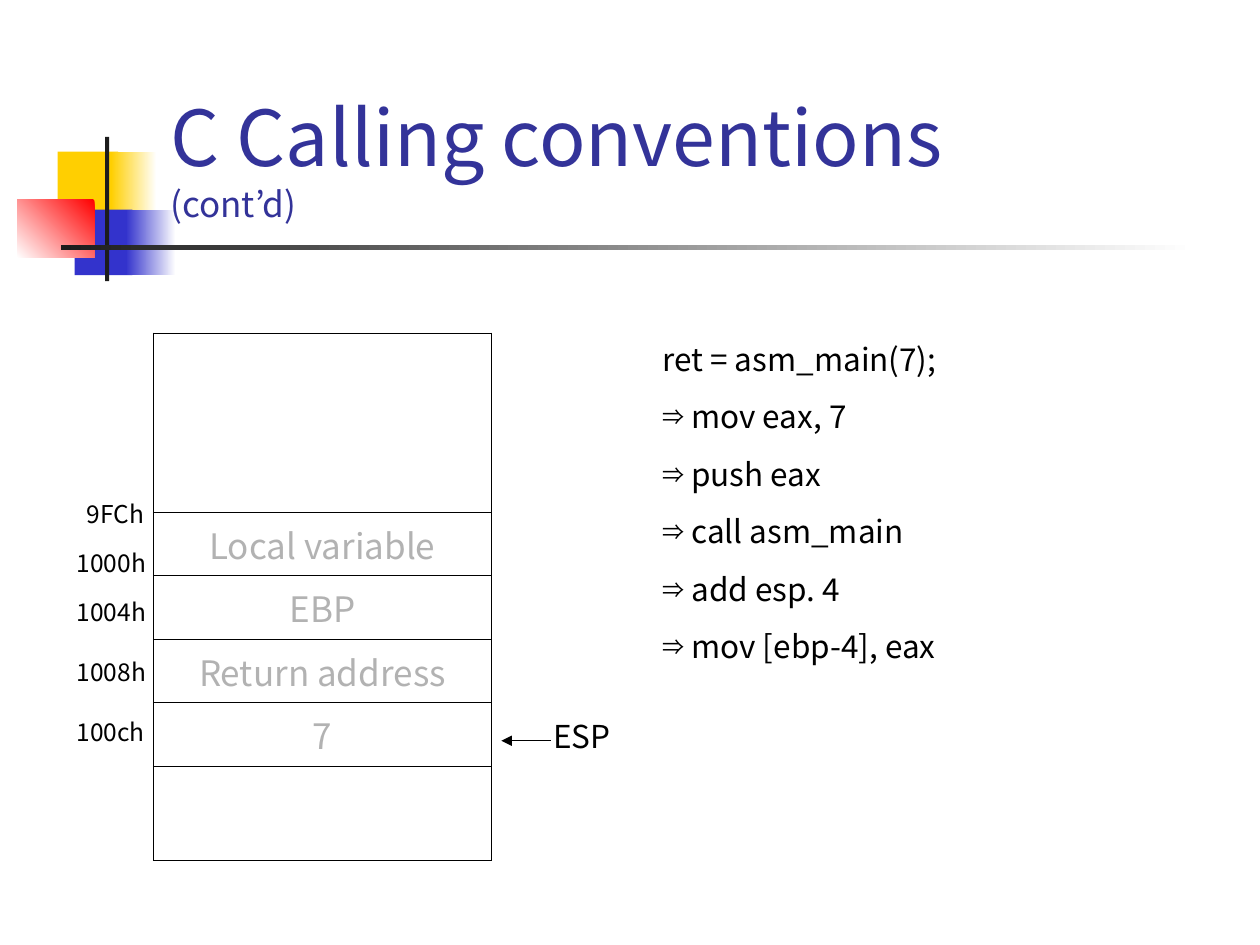
from dataclasses import dataclass
from typing import Optional

from lxml.etree import SubElement
from pptx import Presentation
from pptx.dml.color import RGBColor
from pptx.enum.shapes import MSO_CONNECTOR as Connector, MSO_SHAPE as Shape
from pptx.enum.text import MSO_ANCHOR as Anchor, MSO_AUTO_SIZE as AutoSize, PP_ALIGN as Align
from pptx.oxml.ns import qn
from pptx.util import Pt


@dataclass(frozen=True)
class Theme:
    font: str = "Noto Sans CJK KR"
    title: str = "333399"
    ink: str = "000000"
    muted: str = "B2B2B2"
    white: str = "FFFFFF"
    yellow: str = "FFCF01"
    blue: str = "3333CC"
    red: str = "FF0000"
    charcoal: str = "1C1C1C"
    title_size: float = 44
    cell_size: float = 20
    code_size: float = 18
    address_size: float = 14


@dataclass(frozen=True)
class Block:
    left: float
    top: float
    width: float
    height: float
    color: str
    end_color: Optional[str] = None
    angle: float = 180


@dataclass(frozen=True)
class Label:
    text: str
    left: float
    top: float
    width: float
    height: float
    size: float


@dataclass(frozen=True)
class StackRow:
    text: str
    height: float


THEME = Theme()
BLOCKS = [
    Block(33, 86.6, 34.5, 37.5, THEME.yellow),
    Block(63.5, 86.6, 26, 37.5, THEME.white, THEME.yellow),
    Block(42.7, 119.8, 33, 37.5, THEME.blue),
    Block(72, 119.8, 28.5, 37.5, THEME.white, THEME.blue),
    Block(9.8, 114, 44.2, 33.3, THEME.red, THEME.white, 225),
    Block(60, 78.2, 2.4, 82.5, THEME.charcoal),
    Block(34.8, 140.2, 648, 2.5, THEME.white, THEME.charcoal),
]
STACK = [
    StackRow("", 102.2),
    StackRow("Local variable", 36.1),
    StackRow("EBP", 36.1),
    StackRow("Return address", 36.1),
    StackRow("7", 36.1),
    StackRow("", 54),
]
ADDRESSES = [
    Label(text, left, top, 67.7, 24.5, THEME.address_size)
    for text, left, top in [
        ("100ch", 36.7, 406.1),
        ("1008h", 36.7, 372.2),
        ("1004h", 36.7, 337.7),
        ("1000h", 36.7, 309.6),
        ("9FCh", 42.5, 281.5),
    ]
]
POINTER = Label("ESP", 309, 406.1, 57, 28.8, THEME.code_size)
CALL = Label("ret = asm_main(7);", 371.5, 190.8, 266.4, 193, THEME.code_size)
INSTRUCTIONS = ["mov eax, 7", "push eax", "call asm_main", "add esp. 4", "mov [ebp-4], eax"]


def add_run(paragraph, text: str, size: float, color: str) -> None:
    run = paragraph.add_run()
    run.text = text
    run.font.name = THEME.font
    run.font.size = Pt(size)
    run.font.color.rgb = RGBColor.from_string(color)


def add_title(slide) -> None:
    title = slide.shapes.title
    slide.shapes._spTree.append(title._element)
    title.left, title.top, title.width, title.height = Pt(90.2), Pt(16.6), Pt(613.4), Pt(115.2)
    frame = title.text_frame
    frame.word_wrap = True
    frame.auto_size = AutoSize.NONE
    frame.vertical_anchor = Anchor.BOTTOM
    paragraph = frame.paragraphs[0]
    paragraph.alignment = Align.LEFT
    add_run(paragraph, "C Calling conventions ", THEME.title_size, THEME.title)
    paragraph.add_line_break()
    add_run(paragraph, "(cont’d)", THEME.cell_size, THEME.title)


def add_block(slide, block: Block) -> None:
    shape = slide.shapes.add_shape(
        Shape.RECTANGLE, Pt(block.left), Pt(block.top), Pt(block.width), Pt(block.height)
    )
    shape.shadow.inherit = False
    shape.line.fill.background()
    if block.end_color is None:
        shape.fill.solid()
        shape.fill.fore_color.rgb = RGBColor.from_string(block.color)
        return
    shape.fill.gradient()
    shape.fill.gradient_angle = block.angle
    for stop, position, color in zip(shape.fill.gradient_stops, (0, 1), (block.color, block.end_color)):
        stop.position = position
        stop.color.rgb = RGBColor.from_string(color)


def set_borders(cell, top: float, bottom: float) -> None:
    properties = cell._tc.get_or_add_tcPr()
    widths = {"a:lnL": 1.08, "a:lnR": 1.08, "a:lnT": top, "a:lnB": bottom}
    for index, (tag, width) in enumerate(widths.items()):
        line = SubElement(properties, qn(tag), w=str(Pt(width)))
        fill = SubElement(line, qn("a:solidFill"))
        SubElement(fill, qn("a:srgbClr"), val=THEME.ink)
        properties.remove(line)
        properties.insert(index, line)


def add_stack(slide, rows: list[StackRow]) -> None:
    height = sum(row.height for row in rows)
    table = slide.shapes.add_table(
        len(rows), 1, Pt(87.8), Pt(190.5), Pt(193), Pt(height)
    ).table
    table.first_row = False
    table.horz_banding = False
    last = len(rows) - 1
    for index, row in enumerate(rows):
        table.rows[index].height = Pt(row.height)
        cell = table.cell(index, 0)
        cell.fill.background()
        set_borders(cell, 1.08 if index == 0 else 0.45, 1.08 if index == last else 0.45)
        if row.text:
            paragraph = cell.text_frame.paragraphs[0]
            paragraph.alignment = Align.CENTER
            add_run(paragraph, row.text, THEME.cell_size, THEME.muted)


def add_label(slide, label: Label):
    box = slide.shapes.add_textbox(
        Pt(label.left), Pt(label.top), Pt(label.width), Pt(label.height)
    )
    frame = box.text_frame
    frame.word_wrap = True
    add_run(frame.paragraphs[0], label.text, label.size, THEME.ink)
    return frame


def add_instruction(frame, text: str) -> None:
    paragraph = frame.add_paragraph()
    paragraph.space_before = Pt(11.2)
    properties = paragraph._p.get_or_add_pPr()
    properties.set("marL", str(Pt(16.5)))
    properties.set("indent", str(Pt(-16.5)))
    color = SubElement(properties, qn("a:buClr"))
    SubElement(color, qn("a:srgbClr"), val=THEME.ink)
    SubElement(properties, qn("a:buSzPct"), val="70000")
    SubElement(properties, qn("a:buFont"), typeface=THEME.font)
    SubElement(properties, qn("a:buChar"), char="⇒")
    add_run(paragraph, text, THEME.code_size, THEME.ink)


def add_arrow(slide) -> None:
    arrow = slide.shapes.add_connector(Connector.STRAIGHT, Pt(286.5), Pt(423.3), Pt(314.6), Pt(423.3))
    arrow.line.color.rgb = RGBColor.from_string(THEME.ink)
    arrow.line.width = Pt(0.75)
    SubElement(arrow.line._get_or_add_ln(), qn("a:headEnd"), type="triangle")
    SubElement(arrow._element.spPr, qn("a:effectLst"))


def main() -> None:
    presentation = Presentation()
    presentation.slide_width, presentation.slide_height = Pt(720), Pt(540)
    slide = presentation.slides.add_slide(presentation.slide_layouts[5])
    for block in BLOCKS:
        add_block(slide, block)
    add_title(slide)
    add_stack(slide, STACK)
    add_arrow(slide)
    for label in [*ADDRESSES, POINTER]:
        add_label(slide, label)
    code = add_label(slide, CALL)
    for instruction in INSTRUCTIONS:
        add_instruction(code, instruction)
    presentation.save("out.pptx")


if __name__ == "__main__":
    main()
